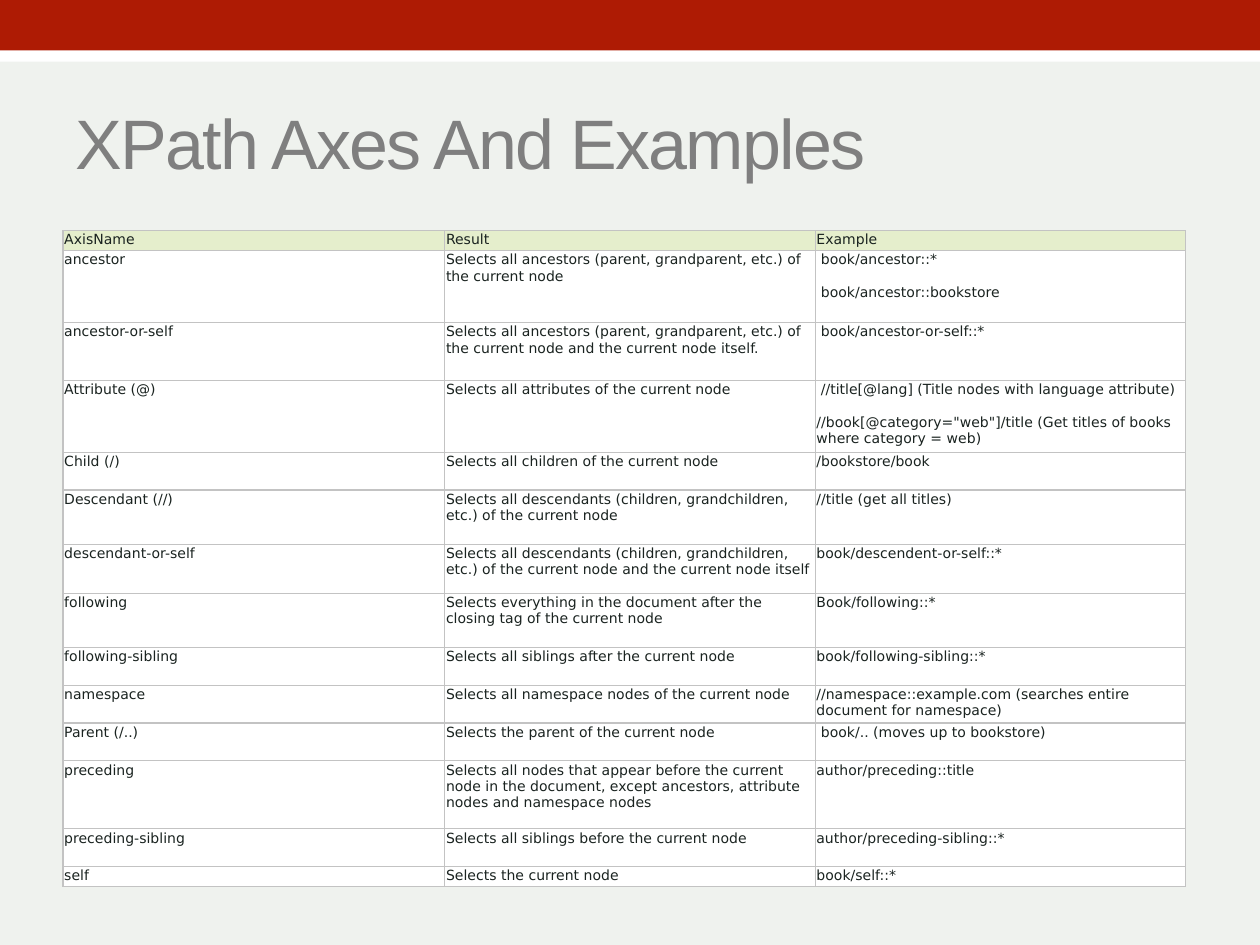
"""Build a slide with a table of XPath axes and examples."""
from dataclasses import dataclass

import lxml.etree
import pptx
import pptx.dml.color
import pptx.enum.shapes
import pptx.enum.text
import pptx.oxml.ns
import pptx.util

Inches = pptx.util.Inches
Pt = pptx.util.Pt
RGBColor = pptx.dml.color.RGBColor
qn = pptx.oxml.ns.qn

BACKGROUND = RGBColor(0xEF, 0xF2, 0xEE)
WHITE = RGBColor(0xFF, 0xFF, 0xFF)
RED = RGBColor(0xAE, 0x1B, 0x04)
GREY = RGBColor(0x7F, 0x7F, 0x7F)
INK = RGBColor(0x1A, 0x23, 0x20)
HEADER = RGBColor(0xE5, 0xEE, 0xCC)
BORDER = RGBColor(0xC3, 0xC3, 0xC3)


@dataclass
class Bar:
    top: float
    height: float
    color: RGBColor


@dataclass
class Axis:
    height: float
    name: str
    result: str
    examples: tuple[str, ...]


BARS = [Bar(0.24, 0.25, WHITE), Bar(0, 0.4, RED)]
COLUMNS = [3.03, 2.94, 2.94]
AXES = [
    Axis(0.16, "AxisName", "Result", ("Example",)),
    Axis(0.57, "ancestor",
         "Selects all ancestors (parent, grandparent, etc.) of the current node",
         (" book/ancestor::*", " book/ancestor::bookstore")),
    Axis(0.46, "ancestor-or-self",
         "Selects all ancestors (parent, grandparent, etc.) of the current node "
         "and the current node itself.",
         (" book/ancestor-or-self::*",)),
    Axis(0.57, "Attribute (@)", "Selects all attributes of the current node",
         (" //title[@lang] (Title nodes with language attribute)",
          '//book[@category="web"]/title (Get titles of books where category = web)')),
    Axis(0.3, "Child (/)", "Selects all children of the current node",
         ("/bookstore/book",)),
    Axis(0.43, "Descendant (//)",
         "Selects all descendants (children, grandchildren, etc.) of the current node",
         ("//title (get all titles)",)),
    Axis(0.39, "descendant-or-self",
         "Selects all descendants (children, grandchildren, etc.) of the current node "
         "and the current node itself",
         ("book/descendent-or-self::*",)),
    Axis(0.43, "following",
         "Selects everything in the document after the closing tag of the current node",
         ("Book/following::*",)),
    Axis(0.3, "following-sibling", "Selects all siblings after the current node",
         ("book/following-sibling::*",)),
    Axis(0.3, "namespace", "Selects all namespace nodes of the current node",
         ("//namespace::example.com (searches entire document for namespace)",)),
    Axis(0.3, "Parent (/..)", "Selects the parent of the current node",
         (" book/.. (moves up to bookstore)",)),
    Axis(0.54, "preceding",
         "Selects all nodes that appear before the current node in the document, "
         "except ancestors, attribute nodes and namespace nodes",
         ("author/preceding::title",)),
    Axis(0.3, "preceding-sibling", "Selects all siblings before the current node",
         ("author/preceding-sibling::*",)),
    Axis(0.16, "self", "Selects the current node", ("book/self::*",)),
]


def add_run(p, text: str, font: str, size: float, color: RGBColor):
    r = p.add_run()
    r.text = text
    r.font.name = font
    r.font.size = Pt(size)
    r.font.color.rgb = color
    return r


def draw_bar(s, bar: Bar) -> None:
    sp = s.shapes.add_shape(pptx.enum.shapes.MSO_SHAPE.RECTANGLE, 0,
                            Inches(bar.top), Inches(10), Inches(bar.height))
    sp.shadow.inherit = False
    sp.fill.solid()
    sp.fill.fore_color.rgb = bar.color
    sp.line.fill.background()


def draw_title(s, text: str) -> None:
    sp = s.shapes.title
    sp.left, sp.top = Inches(0.5), Inches(0.58)
    sp.width, sp.height = Inches(9), Inches(1.08)
    tf = sp.text_frame
    tf.word_wrap = True
    tf.vertical_anchor = pptx.enum.text.MSO_ANCHOR.MIDDLE
    p = tf.paragraphs[0]
    p.alignment = pptx.enum.text.PP_ALIGN.LEFT
    r = add_run(p, text, "Arial", 40, GREY)
    r.font._element.set("spc", "-100")


def add_borders(cell) -> None:
    tc_pr = cell._tc.get_or_add_tcPr()
    for side in ("a:lnL", "a:lnR", "a:lnT", "a:lnB"):
        ln = lxml.etree.SubElement(tc_pr, qn(side), w=str(Pt(0.75)))
        fill = lxml.etree.SubElement(ln, qn("a:solidFill"))
        lxml.etree.SubElement(fill, qn("a:srgbClr"), val=str(BORDER))


def fill_cell(cell, lines: tuple[str, ...], color: RGBColor) -> None:
    cell.margin_left = cell.margin_right = Inches(0.01)
    cell.margin_top = cell.margin_bottom = Inches(0.01)
    add_borders(cell)
    cell.fill.solid()
    cell.fill.fore_color.rgb = color
    tf = cell.text_frame
    for i, line in enumerate(lines):
        p = tf.add_paragraph() if i else tf.paragraphs[0]
        if i:
            p.space_before = Pt(9.3)
        add_run(p, line, "DejaVu Sans", 8, INK)


def draw_table(s, axes: list[Axis]) -> None:
    height = sum(axis.height for axis in axes)
    table = s.shapes.add_table(len(axes), len(COLUMNS), Inches(0.5), Inches(1.83),
                               Inches(sum(COLUMNS)), Inches(height)).table
    for column, width in zip(table.columns, COLUMNS):
        column.width = Inches(width)
    for i, axis in enumerate(axes):
        row = table.rows[i]
        row.height = Inches(axis.height)
        texts = ((axis.name,), (axis.result,), axis.examples)
        for cell, lines in zip(row.cells, texts):
            fill_cell(cell, lines, WHITE if i else HEADER)


def main() -> None:
    prs = pptx.Presentation()
    prs.slide_width, prs.slide_height = Inches(10), Inches(7.5)
    s = prs.slides.add_slide(prs.slide_layouts[5])
    s.background.fill.solid()
    s.background.fill.fore_color.rgb = BACKGROUND
    for bar in BARS:
        draw_bar(s, bar)
    draw_title(s, "XPath Axes And Examples")
    draw_table(s, AXES)
    prs.save("out.pptx")


if __name__ == "__main__":
    main()
